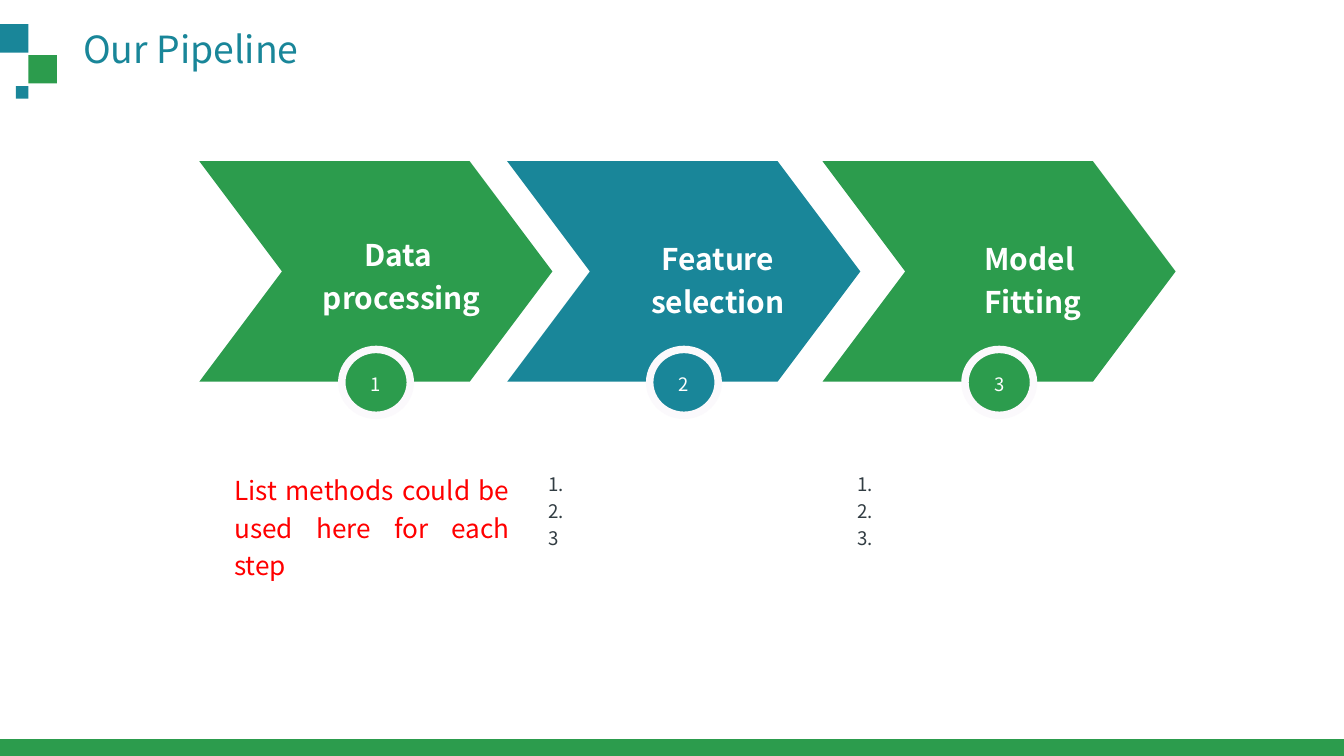
from pptx import Presentation
from pptx.dml.color import RGBColor
from pptx.enum.shapes import MSO_SHAPE
from pptx.enum.text import MSO_ANCHOR, PP_ALIGN
from pptx.util import Inches, Pt

RECTANGLE, CHEVRON, OVAL = MSO_SHAPE.RECTANGLE, MSO_SHAPE.CHEVRON, MSO_SHAPE.OVAL
TOP, MIDDLE = MSO_ANCHOR.TOP, MSO_ANCHOR.MIDDLE
LEFT, CENTER, JUSTIFY = PP_ALIGN.LEFT, PP_ALIGN.CENTER, PP_ALIGN.JUSTIFY

FONT = "Noto Sans CJK SC"
TEAL, GREEN, WHITE = "198699", "2C9C4D", "FFFFFF"
RING, INK, RED = "FBF9FC", "313C42", "FF0000"
COLUMNS = 100
ROWS = COLUMNS * 9 / 16


def color(value):
    return RGBColor.from_string(value)


class SlideBuilder:
    def __init__(self, deck):
        self.unit = deck.slide_width / COLUMNS
        self.slide = deck.slides.add_slide(deck.slide_layouts[6])

    def place(self, *cells):
        return [round(cell * self.unit) for cell in cells]

    def shape(self, kind, cells, fill, ring=None):
        shape = self.slide.shapes.add_shape(kind, *self.place(*cells))
        shape.shadow.inherit = False
        shape.fill.solid()
        shape.fill.fore_color.rgb = color(fill)
        if ring:
            shape.line.color.rgb = color(ring)
            shape.line.width = Pt(4)
        else:
            shape.line.fill.background()
        return shape

    def chevron(self, cells, fill):
        self.shape(CHEVRON, cells, fill).adjustments[0] = 0.375

    def badge(self, column, number, fill):
        cells = (column, 26, 5.1, 4.9)
        self.shape(OVAL, cells, fill, RING)
        self.text(cells, [str(number)], 9.9, WHITE)

    def text(self, cells, lines, size, ink, bold=False, align=CENTER,
             anchor=MIDDLE, wrap=True, spacing=1.2, margins=(0, 0)):
        frame = self.slide.shapes.add_textbox(*self.place(*cells)).text_frame
        frame.word_wrap = wrap
        frame.vertical_anchor = anchor
        frame.margin_left = frame.margin_right = Inches(margins[0])
        frame.margin_top = frame.margin_bottom = Inches(margins[1])
        for index, line in enumerate(lines):
            para = frame.add_paragraph() if index else frame.paragraphs[0]
            para.text = line
            para.alignment = align
            para.line_spacing = spacing
            para.font.name = FONT
            para.font.size = Pt(size)
            para.font.bold = bold
            para.font.color.rgb = color(ink)


def main():
    deck = Presentation()
    deck.slide_width = Inches(10)
    deck.slide_height = deck.slide_width * 9 // 16
    page = SlideBuilder(deck)

    page.text((5.2, 1.45, 18.6, 4.4), ["Our Pipeline"], 20, TEAL, align=LEFT,
              anchor=TOP, wrap=False, spacing=1, margins=(0.1, 0.05))
    for left, top, side, fill in (
        (0, 1.8, 2.12, TEAL), (2.12, 4.1, 2.12, GREEN), (1.18, 6.4, 0.94, TEAL)
    ):
        page.shape(RECTANGLE, (left, top, side, side), fill)
    page.shape(RECTANGLE, (0, 55, COLUMNS, ROWS - 55), GREEN)

    steps = (
        (14.83, GREEN, (23.8, 17, 12.2, 6.5), ["Data ", "processing"]),
        (37.74, TEAL, (44.87, 19.3, 17.1, 2.5), ["Feature selection"]),
        (61.2, GREEN, (67.7, 19.3, 17.8, 2.5), ["Model", " Fitting"]),
    )
    for number, (left, fill, label_cells, label) in enumerate(steps, 1):
        page.chevron((left, 12, 26.27, 16.4), fill)
        page.text(label_cells, label, 16, WHITE, bold=True)
        page.badge(left + 10.6, number, fill)

    methods = (
        (17.43, 8.5, ["List methods could be used here for each step"], 14, RED),
        (40.8, 6.1, ["1.", "2.", "3"], 10, INK),
        (63.8, 6.1, ["1.", "2.", "3."], 10, INK),
    )
    for left, height, lines, size, ink in methods:
        page.text((left, 34.85, 20.5, height), lines, size, ink,
                  align=JUSTIFY, anchor=TOP)

    deck.save("out.pptx")


if __name__ == "__main__":
    main()
